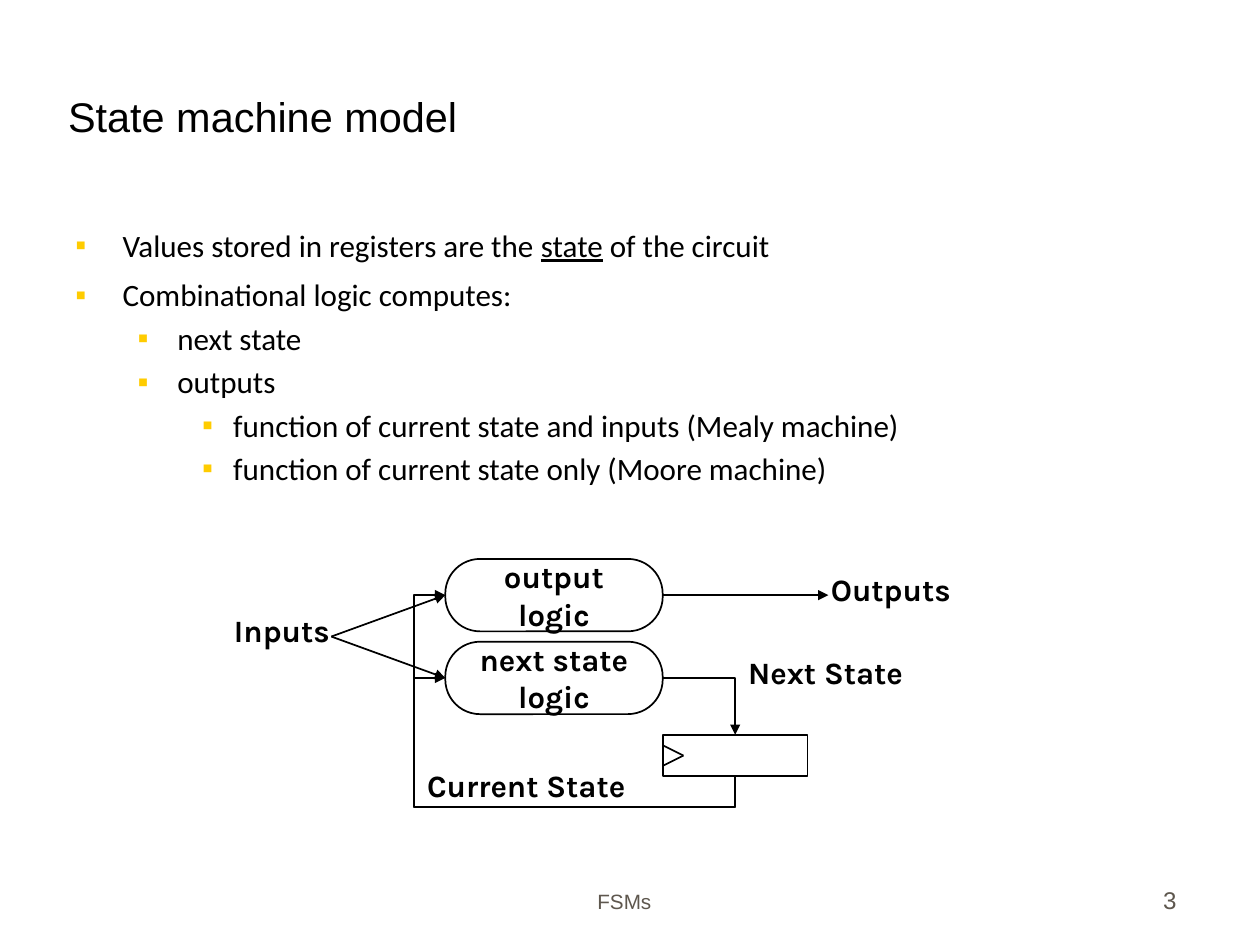
"""Build the state machine model slide: bullets above a feedback diagram."""
from lxml import etree
from pptx import Presentation
from pptx.dml.color import RGBColor
from pptx.enum.shapes import MSO_CONNECTOR, MSO_SHAPE
from pptx.enum.text import MSO_ANCHOR, PP_ALIGN
from pptx.oxml.ns import qn
from pptx.util import Inches, Pt

BLACK = RGBColor(0x00, 0x00, 0x00)
GREY = RGBColor(0x5E, 0x57, 0x4E)
GOLD = RGBColor(0xFF, 0xCC, 0x00)
STRAIGHT, ELBOW = MSO_CONNECTOR.STRAIGHT, MSO_CONNECTOR.ELBOW
RECTANGLE, ROUNDED = MSO_SHAPE.RECTANGLE, MSO_SHAPE.ROUNDED_RECTANGLE
LEFT, CENTER, RIGHT = PP_ALIGN.LEFT, PP_ALIGN.CENTER, PP_ALIGN.RIGHT
TOP, MIDDLE, BOTTOM = MSO_ANCHOR.TOP, MSO_ANCHOR.MIDDLE, MSO_ANCHOR.BOTTOM

INDENTS = [(0.38, 0.38), (0.82, 0.32), (1.27, 0.25)]
SPACES_BEFORE = [7.2, 3.6, 3.6]


def grid(cells):
    """Turn grid cells, twelve to the inch, into a length."""
    return Inches(cells / 12)


class Sketch:
    """Hold the slide and the style of its elements."""

    def __init__(self, slide):
        self.shapes = slide.shapes

    def style(self, paragraph, font_name, size, color=BLACK, align=LEFT, bold=False):
        paragraph.alignment = align
        font = paragraph.font
        font.name, font.size, font.bold = font_name, Pt(size), bold
        font.color.rgb = color

    def frame(self, area, anchor=TOP):
        text_frame = self.shapes.add_textbox(*map(grid, area)).text_frame
        text_frame.word_wrap = True
        text_frame.vertical_anchor = anchor
        return text_frame

    def text(self, area, text, size, color=BLACK, align=LEFT):
        paragraph = self.frame(area, BOTTOM).paragraphs[0]
        paragraph.text = text
        self.style(paragraph, "Arial", size, color, align)

    def bullets(self, area, items):
        text_frame = self.frame(area)
        for index, (level, pieces) in enumerate(items):
            paragraph = text_frame.add_paragraph() if index else text_frame.paragraphs[0]
            paragraph.level = level
            paragraph.space_before = Pt(SPACES_BEFORE[level])
            for position, piece in enumerate(pieces):
                run = paragraph.add_run()
                run.text = piece
                if position == 1:
                    run.font.underline = True
            self.style(paragraph, "Calibri", 18)
            margin, hanging = INDENTS[level]
            properties = paragraph._p.get_or_add_pPr()
            properties.set("marL", str(Inches(margin)))
            properties.set("indent", str(-Inches(hanging)))
            bullet_color = etree.Element(qn("a:buClr"))
            etree.SubElement(bullet_color, qn("a:srgbClr"), val=str(GOLD))
            bullet_font = etree.Element(qn("a:buFont"), typeface="Arial")
            bullet = etree.Element(qn("a:buChar"), char="▪")
            default_font = properties.find(qn("a:defRPr"))
            for element in (bullet_color, bullet_font, bullet):
                default_font.addprevious(element)

    def label(self, area, text, align=LEFT):
        text_frame = self.frame(area)
        text_frame.word_wrap = False
        text_frame.margin_left = text_frame.margin_right = Inches(0.02)
        text_frame.margin_top = text_frame.margin_bottom = Inches(0.03)
        paragraph = text_frame.paragraphs[0]
        paragraph.text = text
        paragraph.line_spacing = Pt(14)
        self.style(paragraph, "Karla", 18, align=align, bold=True)

    def box(self, kind, area, text=""):
        shape = self.shapes.add_shape(kind, *map(grid, area))
        shape.shadow.inherit = False
        shape.fill.background()
        shape.line.color.rgb, shape.line.width = BLACK, Pt(1)
        if kind == ROUNDED:
            shape.adjustments[0] = 0.48
        if text:
            text_frame = shape.text_frame
            text_frame.word_wrap = False
            text_frame.vertical_anchor = MIDDLE
            text_frame.text = text
            self.style(text_frame.paragraphs[0], "Karla", 18, align=CENTER, bold=True)

    def line(self, start, end, arrow=True, kind=STRAIGHT):
        connector = self.shapes.add_connector(kind, *map(grid, (*start, *end)))
        connector.line.color.rgb, connector.line.width = BLACK, Pt(1)
        properties = connector._element.spPr
        if arrow:
            etree.SubElement(properties.find(qn("a:ln")), qn("a:tailEnd"), type="triangle")
        etree.SubElement(properties, qn("a:effectLst"))
        return properties

    def corner(self, start, end):
        properties = self.line(start, end, kind=ELBOW)
        properties.find(qn("a:prstGeom")).set("prst", "bentConnector2")

    def feedback(self, start, end, overshoot):
        """Route down from start, left past end, then up and into end."""
        width, height = start[0] - end[0], start[1] - end[1]
        center_x, center_y = (start[0] + end[0]) / 2, (start[1] + end[1]) / 2
        properties = self.line((center_x - height / 2, center_y - width / 2),
                               (center_x + height / 2, center_y + width / 2), kind=ELBOW)
        transform = properties.find(qn("a:xfrm"))
        transform.set("rot", str(270 * 60000))
        transform.set("flipV", "1")
        geometry = properties.find(qn("a:prstGeom"))
        geometry.set("prst", "bentConnector4")
        guides = geometry.find(qn("a:avLst"))
        for name, share in (("adj1", -overshoot / height), ("adj2", 1 + overshoot / width)):
            etree.SubElement(guides, qn("a:gd"), name=name, fmla=f"val {round(share * 100000)}")


presentation = Presentation()
presentation.slide_width, presentation.slide_height = Inches(10.14), Inches(7.6)
sketch = Sketch(presentation.slides.add_slide(presentation.slide_layouts[6]))

sketch.text((31.1, 82.8, 58.4, 6.1), "FSMs", 12, GREY, CENTER)
sketch.text((89.5, 82.8, 25.3, 6.1), "3", 14, GREY, RIGHT)
sketch.text((5.4, 3, 103.4, 11.2), "State machine model", 24)
sketch.bullets((6.1, 21.25, 108.8, 59.3), [
    (0, ["Values stored in registers are the ", "state", " of the circuit"]),
    (0, ["Combinational logic computes:"]),
    (1, ["next state"]),
    (1, ["outputs"]),
    (2, ["function of current state and inputs (Mealy machine)"]),
    (2, ["function of current state only (Moore machine)"]),
])

sketch.label((20, 60, 12.1, 4), "Inputs", RIGHT)
sketch.label((80, 56, 17.3, 4), "Outputs")
sketch.label((72, 64, 16, 4), "Next State")
sketch.label((41, 75, 22, 4), "Current State")

LOGIC_LEFT, LOGIC_WIDTH, LOGIC_HEIGHT = 43, 21, 7
LOGIC_RIGHT = LOGIC_LEFT + LOGIC_WIDTH
REGISTER_TOP, REGISTER_WIDTH, REGISTER_HEIGHT = 71, 14, 4
REGISTER_CENTER = LOGIC_RIGHT + REGISTER_WIDTH / 2
REGISTER_BOTTOM = REGISTER_TOP + REGISTER_HEIGHT
OUTPUT_TOP, NEXT_TOP = 54, 62
OUTPUT_MIDDLE, NEXT_MIDDLE = (top + LOGIC_HEIGHT / 2 for top in (OUTPUT_TOP, NEXT_TOP))

for top, name in ((OUTPUT_TOP, "output\vlogic"), (NEXT_TOP, "next state\vlogic")):
    middle = top + LOGIC_HEIGHT / 2
    sketch.box(ROUNDED, (LOGIC_LEFT, top, LOGIC_WIDTH, LOGIC_HEIGHT), name)
    sketch.feedback((REGISTER_CENTER, REGISTER_BOTTOM), (LOGIC_LEFT, middle), 3)
    sketch.line((32, 61.5), (LOGIC_LEFT, middle))

sketch.box(RECTANGLE, (LOGIC_RIGHT, REGISTER_TOP, REGISTER_WIDTH, REGISTER_HEIGHT))
for clock_y in (REGISTER_TOP + 1, REGISTER_BOTTOM - 1):
    sketch.line((LOGIC_RIGHT, clock_y), (LOGIC_RIGHT + 2, REGISTER_TOP + 2), arrow=False)
sketch.corner((LOGIC_RIGHT, NEXT_MIDDLE), (REGISTER_CENTER, REGISTER_TOP))
sketch.line((LOGIC_RIGHT, OUTPUT_MIDDLE), (80, OUTPUT_MIDDLE))

presentation.save("out.pptx")
